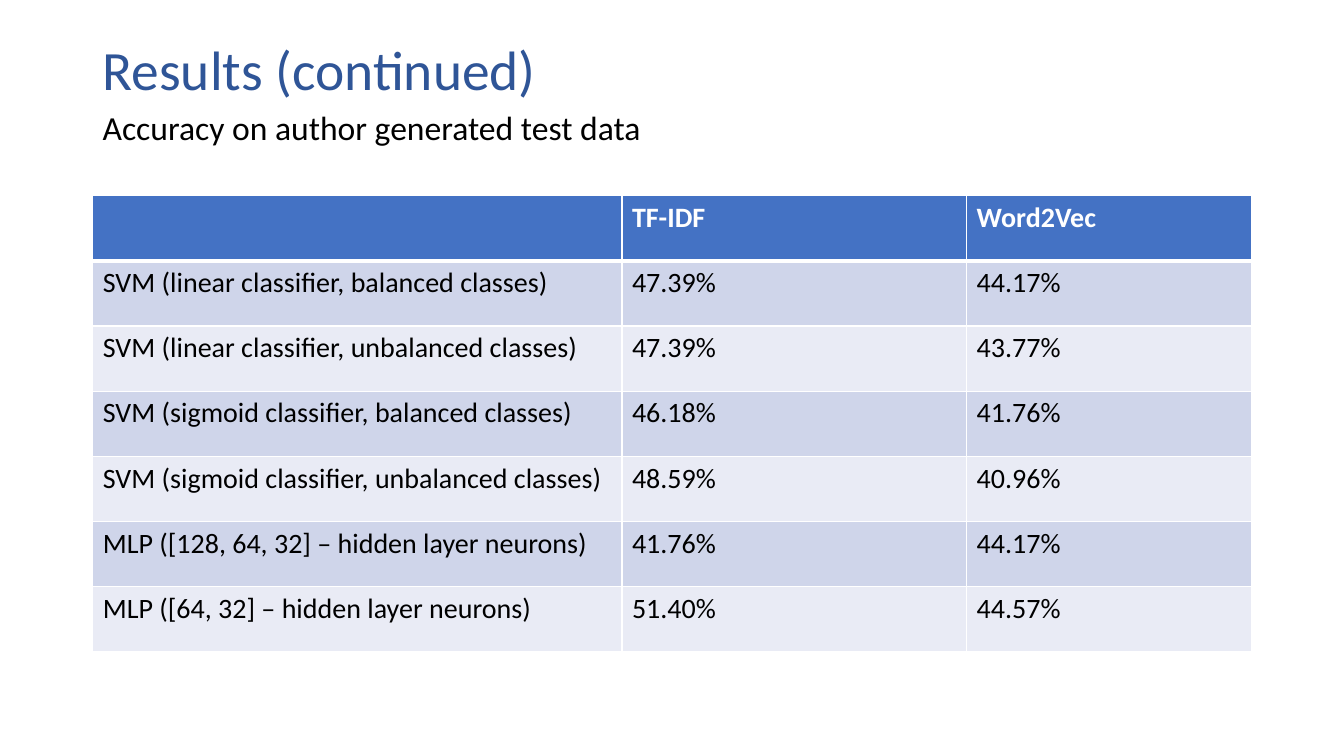
"""Build the slide with the accuracy table for author generated test data."""
import pptx
import pptx.dml.color
import pptx.enum.text
import pptx.oxml
import pptx.oxml.ns
import pptx.util
from pptx.dml.color import RGBColor
from pptx.util import Inches

TITLE_BLUE = RGBColor(0x2F, 0x55, 0x97)
HEADER_BLUE = RGBColor(0x44, 0x72, 0xC4)
BAND_DARK = RGBColor(0xCF, 0xD5, 0xEA)
BAND_LIGHT = RGBColor(0xE9, 0xEB, 0xF5)
WHITE = RGBColor(0xFF, 0xFF, 0xFF)
BLACK = RGBColor(0x00, 0x00, 0x00)

LEFT = 0.92
COLUMN_WIDTHS = [5.25, 3.42, 2.83]
ROW_HEIGHT = 0.647
RESULTS = [
    ("", "TF-IDF", "Word2Vec"),
    ("SVM (linear classifier, balanced classes)", "47.39%", "44.17%"),
    ("SVM (linear classifier, unbalanced classes)", "47.39%", "43.77%"),
    ("SVM (sigmoid classifier, balanced classes)", "46.18%", "41.76%"),
    ("SVM (sigmoid classifier, unbalanced classes)", "48.59%", "40.96%"),
    ("MLP ([128, 64, 32] – hidden layer neurons)", "41.76%", "44.17%"),
    ("MLP ([64, 32] – hidden layer neurons)", "51.40%", "44.57%"),
]


def write_text(frame, text, *, size, color, font="Calibri", bold=False, line_spacing=None):
    paragraph = frame.paragraphs[0]
    paragraph.line_spacing = line_spacing
    paragraph.font.size = pptx.util.Pt(size)
    run = paragraph.add_run()
    run.text = text
    run.font.name = font
    run.font.size = pptx.util.Pt(size)
    run.font.bold = bold
    run.font.color.rgb = color


class SlideBuilder:
    def __init__(self, slide, font="Calibri"):
        self.slide = slide
        self.font = font

    def text_box(self, text, left, top, width, height, *, middle=False, **text_format):
        shape = self.slide.shapes.add_textbox(
            Inches(left), Inches(top), Inches(width), Inches(height))
        frame = shape.text_frame
        frame.word_wrap = True
        anchor = pptx.enum.text.MSO_ANCHOR
        frame.vertical_anchor = anchor.MIDDLE if middle else anchor.TOP
        write_text(frame, text, font=self.font, **text_format)

    def cell_borders(self, cell, color, bottom_width):
        properties = cell._tc.get_or_add_tcPr()
        for side, points in (("L", 1), ("R", 1), ("T", 1), ("B", bottom_width)):
            properties.append(pptx.oxml.parse_xml(
                f'<a:ln{side} {pptx.oxml.ns.nsdecls("a")} w="{pptx.util.Pt(points)}">'
                f'<a:solidFill><a:srgbClr val="{color}"/></a:solidFill></a:ln{side}>'))

    def table(self, rows, left, top, column_widths, row_height):
        table = self.slide.shapes.add_table(
            len(rows), len(column_widths), Inches(left), Inches(top),
            Inches(sum(column_widths)), Inches(row_height * len(rows))).table
        for column, width in zip(table.columns, column_widths):
            column.width = Inches(width)
        for row_index, values in enumerate(rows):
            table.rows[row_index].height = Inches(row_height)
            header = row_index == 0
            band = BAND_DARK if row_index % 2 else BAND_LIGHT
            for column_index, value in enumerate(values):
                cell = table.cell(row_index, column_index)
                self.cell_borders(cell, WHITE, 3 if header else 1)
                cell.fill.solid()
                cell.fill.fore_color.rgb = HEADER_BLUE if header else band
                if value:
                    write_text(cell.text_frame, value, size=20, font=self.font,
                               color=WHITE if header else BLACK, bold=header)


def main():
    presentation = pptx.Presentation()
    presentation.slide_width = Inches(13.333)
    presentation.slide_height = Inches(7.5)
    builder = SlideBuilder(presentation.slides.add_slide(presentation.slide_layouts[6]))
    builder.text_box("Results (continued)", LEFT, 0.4, 11.5, 0.63, middle=True,
                     size=39.6, color=TITLE_BLUE, line_spacing=0.9)
    builder.table(RESULTS, LEFT, 1.94, COLUMN_WIDTHS, ROW_HEIGHT)
    builder.text_box("Accuracy on author generated test data", LEFT, 1.01, 8.87, 0.5,
                     size=24, color=BLACK)
    presentation.save("out.pptx")


if __name__ == "__main__":
    main()
